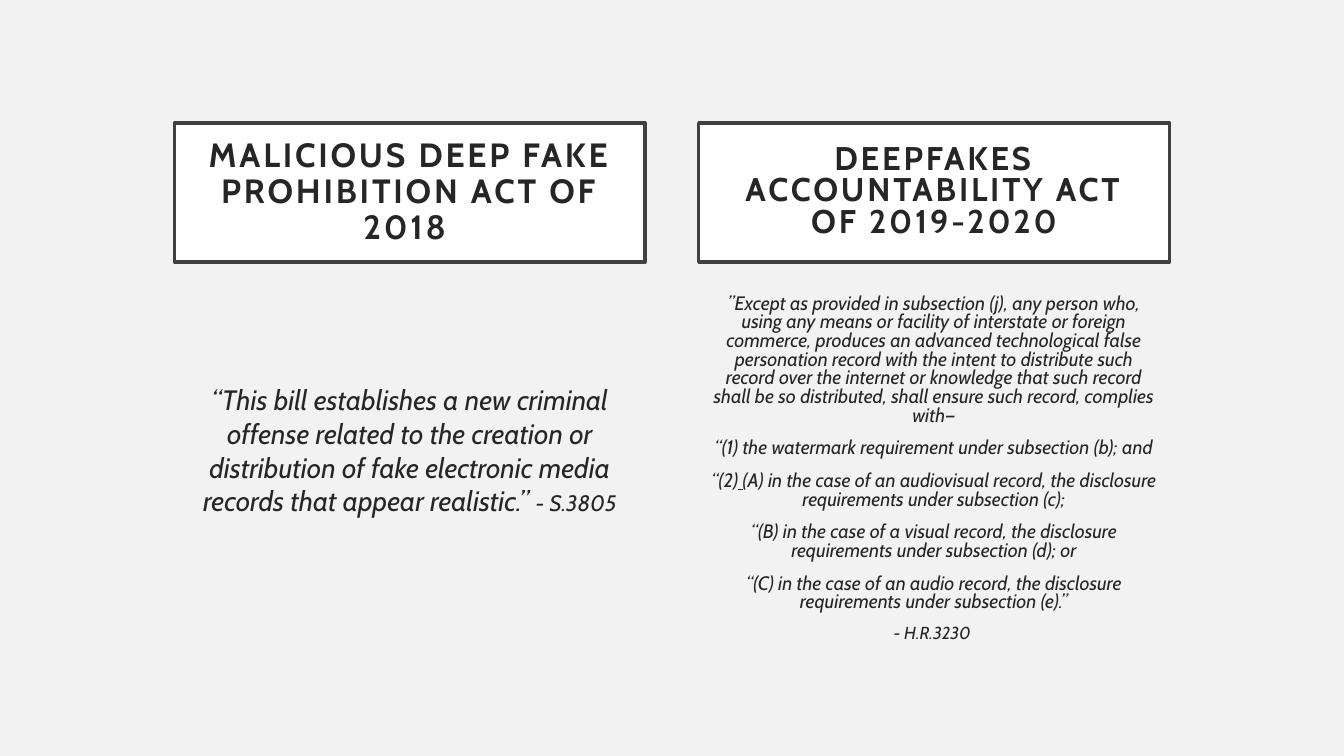
from pptx import Presentation
from pptx.dml.color import RGBColor
from pptx.enum.shapes import MSO_SHAPE
from pptx.enum.text import MSO_ANCHOR, PP_ALIGN
from pptx.util import Inches, Pt

RECTANGLE = MSO_SHAPE.RECTANGLE
MIDDLE = MSO_ANCHOR.MIDDLE
CENTER = PP_ALIGN.CENTER

BACKGROUND = RGBColor(0xF2, 0xF2, 0xF2)
WHITE = RGBColor(0xFF, 0xFF, 0xFF)
BORDER = RGBColor(0x40, 0x40, 0x40)
INK = RGBColor(0x26, 0x26, 0x26)

FONT = "Cabin"
LEFT_X, RIGHT_X = 1.73, 6.93
COLUMN_W = 4.67
HEADING_Y, HEADING_H = 1.22, 1.38
HEADING_INSET = 0.2

# Each paragraph is a list of (text, font overrides) runs.
SENATE_BILL = [
    [("“This bill establishes a new criminal offense related to the creation or "
      "distribution of fake electronic media records that appear realistic.” ", {}),
     ("- S.3805", {"size": Pt(16)})],
]
HOUSE_BILL = [
    [("”Except as provided in subsection (j), any person who, using any means or "
      "facility of interstate or foreign commerce, produces an advanced technological "
      "false personation record with the intent to distribute such record over the "
      "internet or knowledge that such record shall be so distributed, shall ensure "
      "such record, complies with—", {})],
    [("“(1) the watermark requirement under subsection (b); and", {})],
    [("“(2)", {}),
     (" ", {"underline": True}),
     ("(A) in the case of an audiovisual record, the disclosure requirements "
      "under subsection (c);", {})],
    [("“(B) in the case of a visual record, the disclosure requirements "
      "under subsection (d); or", {})],
    [("“(C) in the case of an audio record, the disclosure requirements "
      "under subsection (e).”", {})],
    [("- H.R.3230 ", {"size": Pt(12.4)})],
]


def add_run(p, text, font_format):
    r = p.add_run()
    r.text = text
    r.font.name = FONT
    r.font.color.rgb = INK
    for name, value in font_format.items():
        setattr(r.font, name, value)
    return r


def add_heading(s, x, text, size, line_spacing):
    sp = s.shapes.add_shape(RECTANGLE, Inches(x), Inches(HEADING_Y),
                            Inches(COLUMN_W), Inches(HEADING_H))
    sp.shadow.inherit = False
    sp.fill.solid()
    sp.fill.fore_color.rgb = WHITE
    sp.line.color.rgb = BORDER
    sp.line.width = Pt(2.5)
    tf = sp.text_frame
    tf.word_wrap = True
    tf.vertical_anchor = MIDDLE
    for side in ("left", "top", "right", "bottom"):
        setattr(tf, f"margin_{side}", Inches(HEADING_INSET))
    p = tf.paragraphs[0]
    p.alignment = CENTER
    p.line_spacing = line_spacing
    r = add_run(p, text, {"size": Pt(size), "bold": True})
    r.font._element.set("spc", "200")  # letter spacing, hundredths of a point


def add_quote(s, x, y, h, paragraphs, size, line_spacing):
    sp = s.shapes.add_textbox(Inches(x), Inches(y), Inches(COLUMN_W), Inches(h))
    tf = sp.text_frame
    tf.word_wrap = True
    for i, runs in enumerate(paragraphs):
        p = tf.add_paragraph() if i else tf.paragraphs[0]
        p.alignment = CENTER
        p.line_spacing = line_spacing
        p.space_before = Pt(10 if i else 0)
        for text, overrides in runs:
            add_run(p, text, {"size": Pt(size), "italic": True, **overrides})


def main():
    prs = Presentation()
    prs.slide_width = Inches(13.33)
    prs.slide_height = Inches(7.5)
    s = prs.slides.add_slide(prs.slide_layouts[6])
    s.background.fill.solid()
    s.background.fill.fore_color.rgb = BACKGROUND

    add_heading(s, LEFT_X, "MALICIOUS DEEP FAKE PROHIBITION ACT OF 2018 ", 24, 0.9)
    add_quote(s, LEFT_X, 3.75, 0.98, SENATE_BILL, 20, 1.0)
    add_quote(s, RIGHT_X, 2.88, 3.39, HOUSE_BILL, 13.9, 0.8)
    add_heading(s, RIGHT_X, "DEEPFAKES ACCOUNTABILITY ACT OF 2019-2020", 23.4, 0.8)

    prs.save("out.pptx")


if __name__ == "__main__":
    main()
